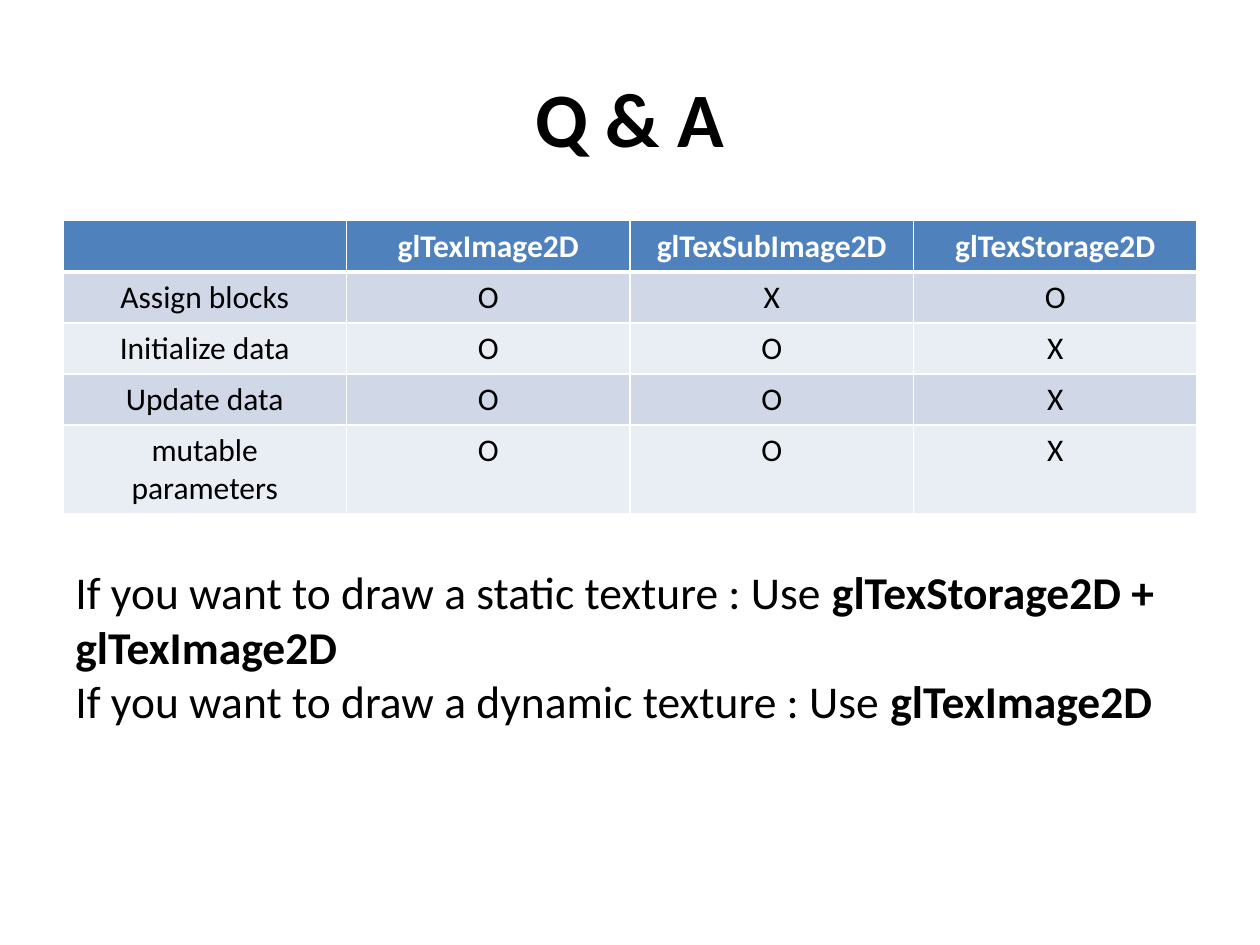
from lxml import etree
from pptx import Presentation
from pptx.dml.color import RGBColor
from pptx.enum.text import MSO_ANCHOR, PP_ALIGN
from pptx.oxml.ns import qn
from pptx.util import Cm, Pt

CENTER = PP_ALIGN.CENTER
LEFT = PP_ALIGN.LEFT
MIDDLE = MSO_ANCHOR.MIDDLE
TOP = MSO_ANCHOR.TOP
BLACK = "000000"
WHITE = "FFFFFF"
HEADER_FILL = "4F81BD"
BAND_FILLS = ["E9EDF4", "D0D8E8"]
MARGIN = Cm(1.27)
CONTENT_WIDTH = Cm(22.86)


def color(value):
    return RGBColor.from_string(value)


def add_span(para, text, size, bold=False, ink=BLACK):
    span = para.add_run()
    span.text = text
    for name, value in {"name": "Calibri", "size": Pt(size), "bold": bold}.items():
        setattr(span.font, name, value)
    span.font.color.rgb = color(ink)


deck = Presentation()
deck.slide_width = Cm(25.4)
deck.slide_height = Cm(19.05)
page = deck.slides.add_slide(deck.slide_layouts[6])

rows = [
    ["", "glTexImage2D", "glTexSubImage2D", "glTexStorage2D"],
    ["Assign blocks", "O", "X", "O"],
    ["Initialize data", "O", "O", "X"],
    ["Update data", "O", "O", "X"],
    ["mutable parameters", "O", "O", "X"],
]
advice = [
    [("If you want to draw a static texture : Use ", False), ("glTexStorage2D + glTexImage2D", True)],
    [("If you want to draw a dynamic texture : Use", False), (" glTexImage2D", True)],
]
text_blocks = [
    (Cm(0.76), Cm(3.18), MIDDLE, CENTER, 44, [[("Q & A", True)]]),
    (Cm(11.25), Cm(3.58), TOP, LEFT, 26, advice),
]

for top, height, anchor, alignment, size, lines in text_blocks:
    frame = page.shapes.add_textbox(MARGIN, top, CONTENT_WIDTH, height).text_frame
    for name, value in {"word_wrap": True, "vertical_anchor": anchor}.items():
        setattr(frame, name, value)
    for index, line in enumerate(lines):
        para = frame.add_paragraph() if index else frame.paragraphs[0]
        para.alignment = alignment
        for text, bold in line:
            add_span(para, text, size, bold)

table = page.shapes.add_table(
    len(rows), len(rows[0]), MARGIN, Cm(4.45), CONTENT_WIDTH, Cm(1.03) * len(rows)
).table

for row_index, row in enumerate(rows):
    header = row_index == 0
    for column_index, text in enumerate(row):
        cell = table.cell(row_index, column_index)
        cell.fill.solid()
        cell.fill.fore_color.rgb = color(HEADER_FILL if header else BAND_FILLS[row_index % 2])
        para = cell.text_frame.paragraphs[0]
        para.alignment = CENTER
        if text:
            add_span(para, text, 18, header, WHITE if header else BLACK)
        widths = {"lnL": 1, "lnR": 1, "lnT": 3 if row_index == 1 else 1, "lnB": 3 if header else 1}
        properties = cell._tc.get_or_add_tcPr()
        for position, (side, width) in enumerate(widths.items()):
            border = etree.Element(qn(f"a:{side}"), w=str(Pt(width)))
            fill = etree.SubElement(border, qn("a:solidFill"))
            etree.SubElement(fill, qn("a:srgbClr"), val=WHITE)
            properties.insert(position, border)

deck.save("out.pptx")
